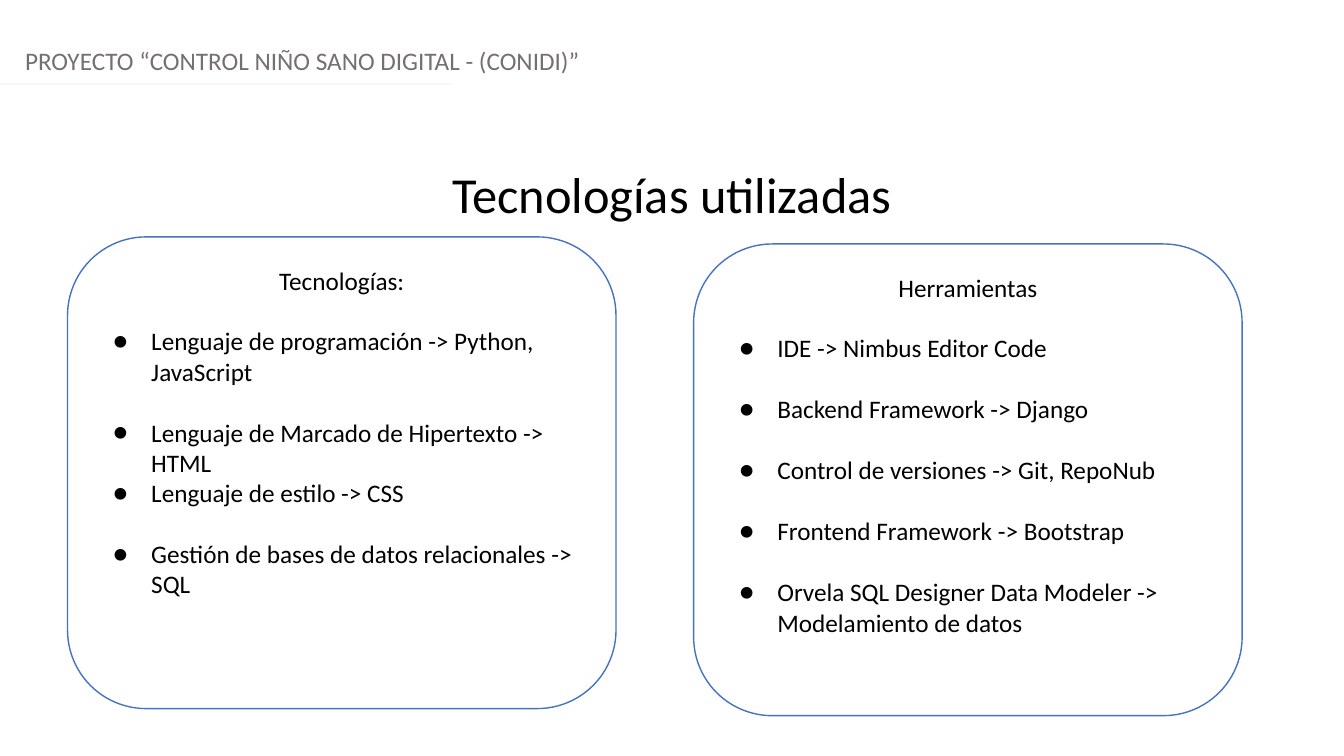
from lxml.etree import SubElement
from pptx import Presentation
from pptx.dml.color import RGBColor
from pptx.enum.shapes import MSO_CONNECTOR, MSO_SHAPE
from pptx.enum.text import MSO_ANCHOR, MSO_AUTO_SIZE, PP_ALIGN
from pptx.oxml.ns import qn
from pptx.util import Pt

PX = 9144
FONT = "Calibri"
COLORS = {
    "text": "000000",
    "header": "757070",
    "rule": "F5F7FC",
    "card": "FFFFFF",
    "border": "4472C4",
}
CARD_W, CARD_H = 544, 468
CORNER_INSET = 23
LIST_TOP, LIST_H = 83, 360
LINE_GAP = 22

TECHNOLOGIES = [
    ("Lenguaje de programación -> Python, JavaScript", LINE_GAP),
    ("Lenguaje de Marcado de Hipertexto -> HTML", 0),
    ("Lenguaje de estilo -> CSS", LINE_GAP),
    ("Gestión de bases de datos relacionales -> SQL", 0),
]
TOOLS = [
    ("IDE -> Nimbus Editor Code", LINE_GAP),
    ("Backend Framework -> Django", LINE_GAP),
    ("Control de versiones -> Git, RepoNub", LINE_GAP),
    ("Frontend Framework -> Bootstrap", LINE_GAP),
    ("Orvela SQL Designer Data Modeler -> Modelamiento de datos", 0),
]


def px(*lengths):
    return [length * PX for length in lengths]


def color(name):
    return RGBColor.from_string(COLORS[name])


def place(sp, x, y, w, h):
    sp.left, sp.top, sp.width, sp.height = px(x, y, w, h)


def prepare_frame(sp):
    tf = sp.text_frame
    tf.word_wrap = True
    tf.auto_size = MSO_AUTO_SIZE.NONE
    tf.vertical_anchor = MSO_ANCHOR.TOP
    tf.margin_left = tf.margin_right = PX * 10
    tf.margin_top = tf.margin_bottom = PX * 5
    return tf


def format_paragraph(p, size, color_name, align=PP_ALIGN.LEFT, after=0):
    p.alignment = align
    p.line_spacing = 1.0
    p.space_before = Pt(0)
    p.space_after = Pt(after)
    for r in p.runs:
        r.font.name = FONT
        r.font.size = Pt(size)
        r.font.color.rgb = color(color_name)


def write_line(sp, text, size, color_name, align):
    tf = prepare_frame(sp)
    tf.text = text
    format_paragraph(tf.paragraphs[0], size, color_name, align)


def add_bullet(p):
    pPr = p._p.get_or_add_pPr()
    pPr.set("marL", str(50 * PX))
    pPr.set("indent", str(-38 * PX))
    SubElement(SubElement(pPr, qn("a:buClr")), qn("a:srgbClr"), val=COLORS["text"])
    SubElement(pPr, qn("a:buFont"), typeface=FONT)
    SubElement(pPr, qn("a:buChar"), char="●")


def fill_list(sp, items):
    tf = prepare_frame(sp)
    for i, (text, after) in enumerate(items):
        p = tf.add_paragraph() if i else tf.paragraphs[0]
        p.text = text
        add_bullet(p)
        format_paragraph(p, 18, "text", after=after)


def add_card(s, body, x, y, heading, items):
    sp = s.shapes.add_shape(MSO_SHAPE.ROUNDED_RECTANGLE, *px(x, y, CARD_W, CARD_H))
    sp.shadow.inherit = False
    sp.fill.solid()
    sp.fill.fore_color.rgb = color("card")
    sp.line.color.rgb = color("border")
    sp.line.width = Pt(1)
    write_line(sp, heading, 18, "text", PP_ALIGN.CENTER)
    s.shapes._spTree.insert(2, sp._element)
    place(body, x + CORNER_INSET, y + LIST_TOP, CARD_W - 2 * CORNER_INSET, LIST_H)
    fill_list(body, items)


def add_rule(s, x1, y1, x2, y2):
    line = s.shapes.add_connector(MSO_CONNECTOR.STRAIGHT, *px(x1, y1, x2, y2))
    line.line.color.rgb = color("rule")
    line.line.width = Pt(1.25)
    SubElement(line._element.spPr, qn("a:effectLst"))


def main():
    prs = Presentation()
    prs.slide_width, prs.slide_height = px(1333, 750)
    s = prs.slides.add_slide(prs.slide_layouts[3])
    title, left_body, right_body = list(s.placeholders)[:3]

    header = s.shapes.add_textbox(*px(15, 40, 1318, 40))
    write_line(header, "PROYECTO “CONTROL NIÑO SANO DIGITAL - (CONIDI)”", 18, "header", PP_ALIGN.LEFT)
    add_rule(s, 0, 83, 447, 83)

    place(title, 0, 157, 1333, 71)
    write_line(title, "Tecnologías utilizadas", 36, "text", PP_ALIGN.CENTER)

    add_card(s, left_body, 67, 235, "Tecnologías:", TECHNOLOGIES)
    add_card(s, right_body, 688, 242, "Herramientas", TOOLS)
    prs.save("out.pptx")


if __name__ == "__main__":
    main()
